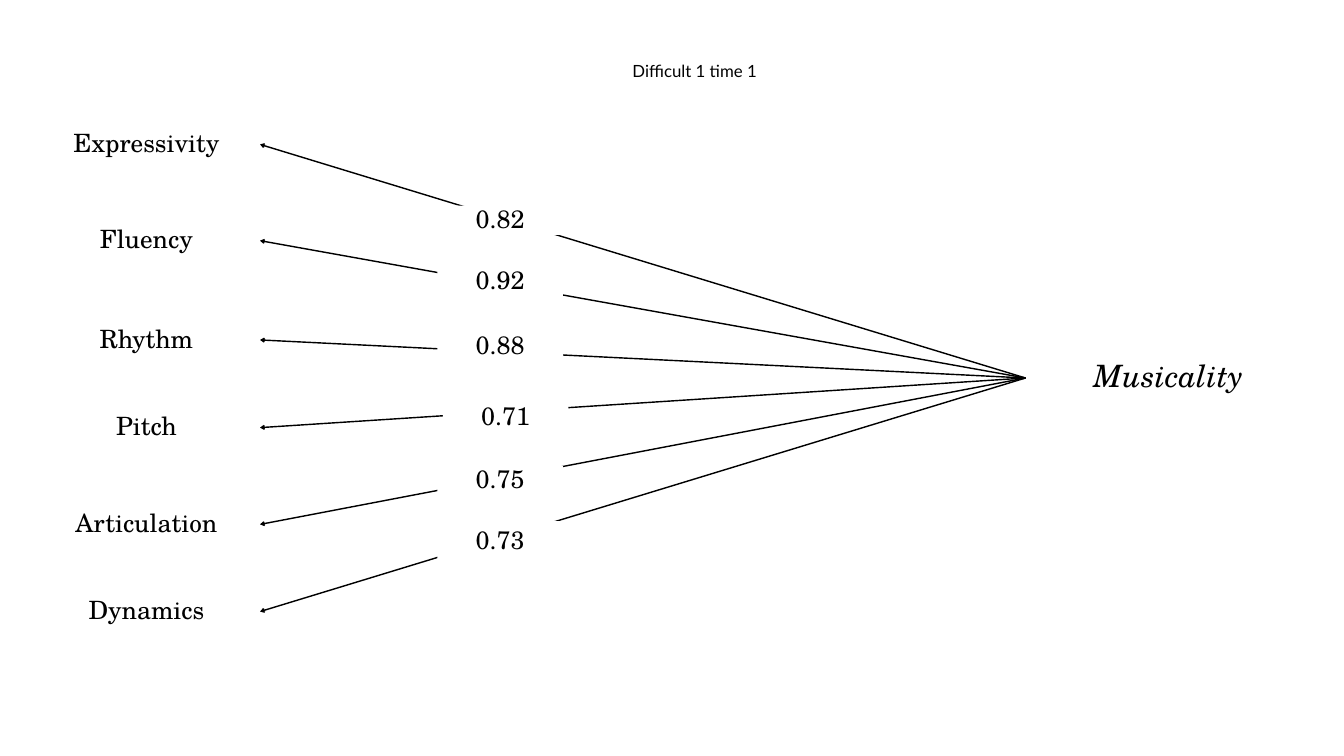
"""Build a path diagram linking musicality to its six rated qualities."""
from lxml.etree import SubElement
from pptx import Presentation
from pptx.dml.color import RGBColor
from pptx.enum.shapes import MSO_CONNECTOR, MSO_SHAPE
from pptx.enum.text import MSO_ANCHOR, MSO_AUTO_SIZE, PP_ALIGN
from pptx.oxml.ns import qn
from pptx.util import Inches, Pt

BLACK, WHITE = "000000", "FFFFFF"
SERIF, SANS = "TeX Gyre Schola", "Lato"
LABEL_LEFT, LABEL_WIDTH, LABEL_HEIGHT = 0.65, 4.51, 0.71
FACTOR_LEFT, FACTOR_MIDDLE = 20.35, 7.5
LOADING_WIDTH = 2.49

# Quality, label top, loading, loading left, loading top, loading height
PATHS = [
    ("Expressivity", 2.51, "0.82", 8.68, 4.08, 0.58),
    ("Fluency", 4.42, "0.92", 8.68, 5.29, 0.58),
    ("Rhythm", 6.39, "0.88", 8.68, 6.58, 0.58),
    ("Pitch", 8.13, "0.71", 8.79, 7.99, 0.58),
    ("Articulation", 10.05, "0.75", 8.68, 9.25, 0.58),
    ("Dynamics", 11.78, "0.73", 8.68, 10.34, 0.79),
]


def colour(value):
    """Turn a hex string into a colour."""
    return RGBColor.from_string(value)


def write(box, text, size=36, font=SERIF, italic=False):
    """Write one centred line of text in a shape."""
    frame = box.text_frame
    frame.word_wrap = True
    frame.auto_size = MSO_AUTO_SIZE.NONE
    frame.vertical_anchor = MSO_ANCHOR.MIDDLE
    frame.margin_left = frame.margin_right = Inches(0.06)
    frame.margin_top = frame.margin_bottom = Inches(0.06)
    frame.text = text
    para = frame.paragraphs[0]
    para.alignment = PP_ALIGN.CENTER
    para.line_spacing = 0.9
    para.space_before = Pt(0)
    para.font.name = font
    para.font.size = Pt(size)
    para.font.italic = italic
    para.font.color.rgb = colour(BLACK)


def add_title(page, text):
    """Place and format the title."""
    title = page.shapes.title
    title.left, title.top = Inches(7), Inches(1.19)
    title.width, title.height = Inches(13.57), Inches(0.48)
    write(title, text, 24, SANS)


def add_label(page, text, left, top, width, height, **style):
    """Add a plain text label."""
    box = page.shapes.add_textbox(
        Inches(left), Inches(top), Inches(width), Inches(height))
    write(box, text, **style)


def add_arrow(page, middle):
    """Draw an arrow between a quality and the factor."""
    arrow = page.shapes.add_connector(
        MSO_CONNECTOR.STRAIGHT,
        Inches(LABEL_LEFT + LABEL_WIDTH), Inches(middle),
        Inches(FACTOR_LEFT), Inches(FACTOR_MIDDLE))
    arrow.line.color.rgb = colour(BLACK)
    arrow.line.width = Pt(2)
    properties = arrow.element.spPr
    SubElement(properties.find(qn("a:ln")), qn("a:headEnd"), type="arrow")
    SubElement(properties, qn("a:effectLst"))


def add_loading(page, text, left, top, height):
    """Add a white box that holds a loading and interrupts its arrow."""
    box = page.shapes.add_shape(
        MSO_SHAPE.RECTANGLE,
        Inches(left), Inches(top), Inches(LOADING_WIDTH), Inches(height))
    box.shadow.inherit = False
    box.fill.solid()
    box.fill.fore_color.rgb = colour(WHITE)
    box.line.fill.background()
    write(box, text)


def main():
    """Build and save the deck."""
    deck = Presentation()
    deck.slide_width, deck.slide_height = Inches(26.67), Inches(15)
    page = deck.slides.add_slide(deck.slide_layouts[5])
    add_title(page, "Difficult 1 time 1")
    for quality, label_top, loading, left, top, height in PATHS:
        add_label(page, quality, LABEL_LEFT, label_top,
                  LABEL_WIDTH, LABEL_HEIGHT)
        add_arrow(page, label_top + LABEL_HEIGHT / 2)
        add_loading(page, loading, left, top, height)
    add_label(page, "Musicality", FACTOR_LEFT, FACTOR_MIDDLE - 0.42,
              5.67, 0.84, size=44, italic=True)
    deck.save("out.pptx")


main()
